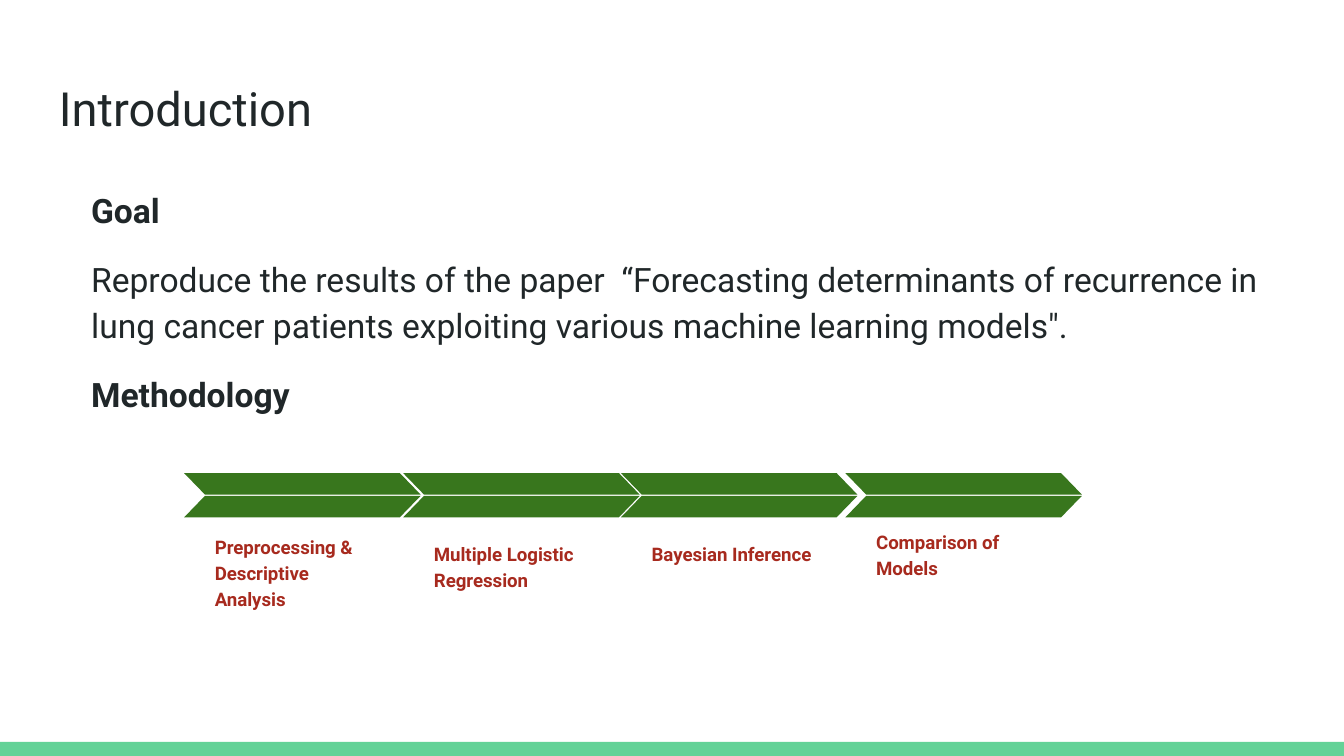
from pptx import Presentation
from pptx.dml.color import RGBColor
from pptx.enum.shapes import MSO_SHAPE
from pptx.enum.text import MSO_ANCHOR
from pptx.oxml.ns import qn
from pptx.util import Inches, Pt

RECTANGLE, PARALLELOGRAM = MSO_SHAPE.RECTANGLE, MSO_SHAPE.PARALLELOGRAM
TOP, BOTTOM = MSO_ANCHOR.TOP, MSO_ANCHOR.BOTTOM
FONT = "Roboto"
WIDTH, HEIGHT = Inches(10), Inches(10) * 9 // 16
COLORS = {"bar": "63D297", "ink": "202729", "arrow": "38761D", "label": "A72A1E"}

BODY = [
    ("Goal", True, 0, 0),
    ("Reproduce the results of the paper  “Forecasting determinants of recurrence in "
     "lung cancer patients exploiting various machine learning models\".", False, 12, 0),
    ("Methodology", True, 12, 12),
]
STEPS = [
    (1.37, "Preprocessing & Descriptive Analysis", 3.87, 0.77),
    (3.0, "Multiple Logistic Regression", 3.62, 0.88),
    (4.62, "Bayesian Inference", 3.7, 0.6),
    (6.29, "Comparison of Models", 3.95, 0.46),
]


class SlideBuilder:
    """Draws styled elements on the current slide."""

    def __init__(self, slide):
        self.slide = slide

    def shape(self, kind, x, y, w, h, color):
        sp = self.slide.shapes.add_shape(kind, Inches(x), Inches(y), Inches(w), Inches(h))
        sp.shadow.inherit = False
        sp.fill.solid()
        sp.fill.fore_color.rgb = RGBColor.from_string(COLORS[color])
        sp.line.fill.background()
        return sp

    def text(self, x, y, w, h, paragraphs, size, color, anchor=TOP, spacing=1.15):
        sp = self.slide.shapes.add_textbox(Inches(x), Inches(y), Inches(w), Inches(h))
        tf = sp.text_frame
        tf.word_wrap = True
        tf.vertical_anchor = anchor
        tf.margin_left = tf.margin_right = tf.margin_top = tf.margin_bottom = Inches(0.1)
        for i, (content, bold, before, after) in enumerate(paragraphs):
            p = tf.add_paragraph() if i else tf.paragraphs[0]
            p.text = content
            p.line_spacing = spacing
            p.space_before, p.space_after = Pt(before), Pt(after)
            p.font.name, p.font.size, p.font.bold = FONT, Pt(size), bold
            p.font.color.rgb = RGBColor.from_string(COLORS[color])

    def chevron(self, x, y):
        for top, flipped in ((y, True), (y + 0.17, False)):
            sp = self.shape(PARALLELOGRAM, x, top, 1.76, 0.16, "arrow")
            sp.adjustments[0] = 0.97
            if flipped:
                sp._element.spPr.find(qn("a:xfrm")).set("flipH", "1")

    def step(self, x, label, label_y, label_h):
        self.chevron(x, 3.52)
        self.text(x + 0.13, label_y, 1.45, label_h, [(label, True, 0, 0)], 10, "label", BOTTOM)


def main():
    prs = Presentation()
    prs.slide_width, prs.slide_height = WIDTH, HEIGHT
    s = SlideBuilder(prs.slides.add_slide(prs.slide_layouts[6]))
    s.shape(RECTANGLE, 0, 5.52, 10, 0.11, "bar")
    s.text(0.34, 0.49, 9.32, 0.63, [("Introduction", False, 0, 0)], 25.2, "ink", spacing=1.0)
    s.text(0.58, 1.27, 8.96, 3.74, BODY, 18, "ink")
    for step in STEPS:
        s.step(*step)
    prs.save("out.pptx")


if __name__ == "__main__":
    main()
